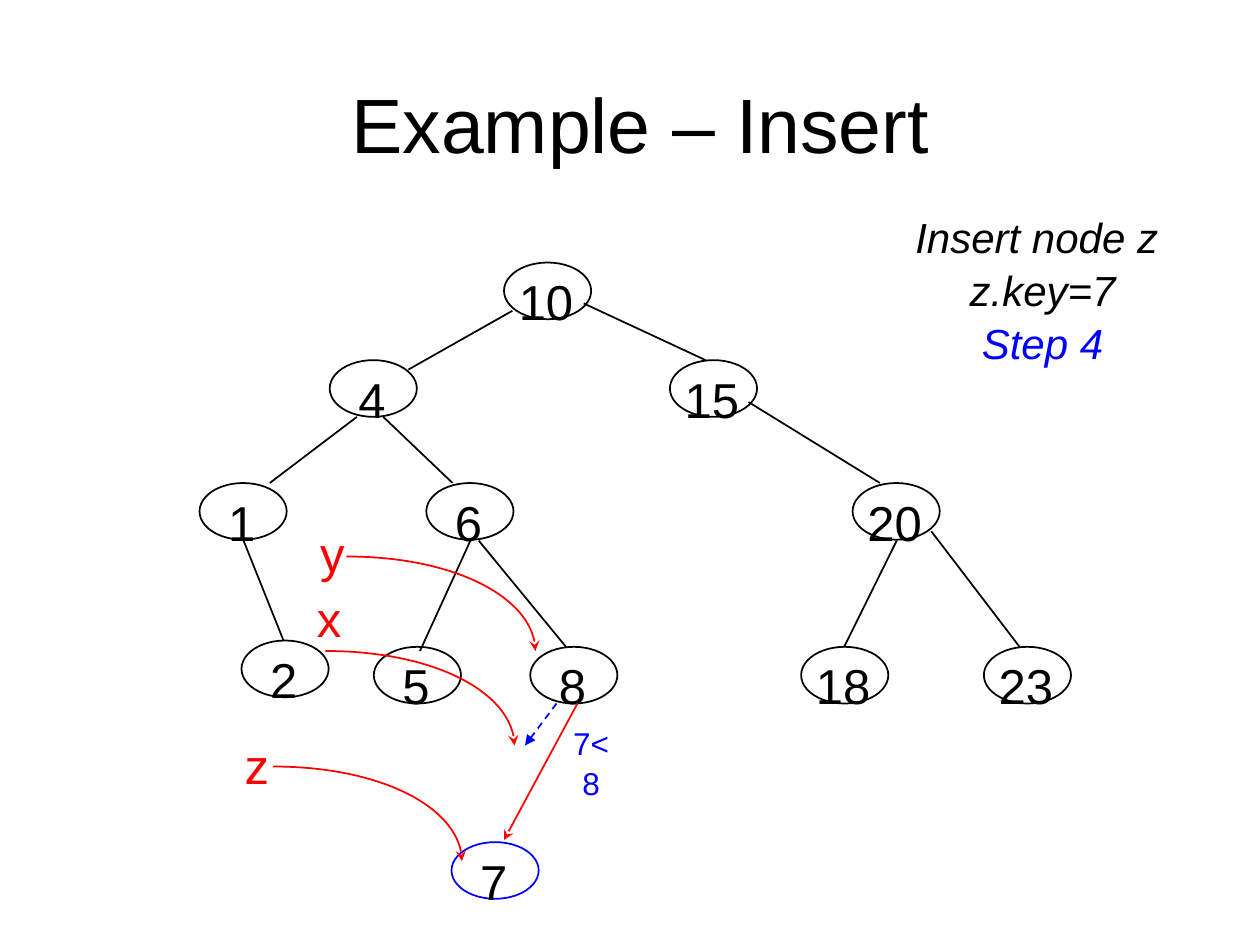
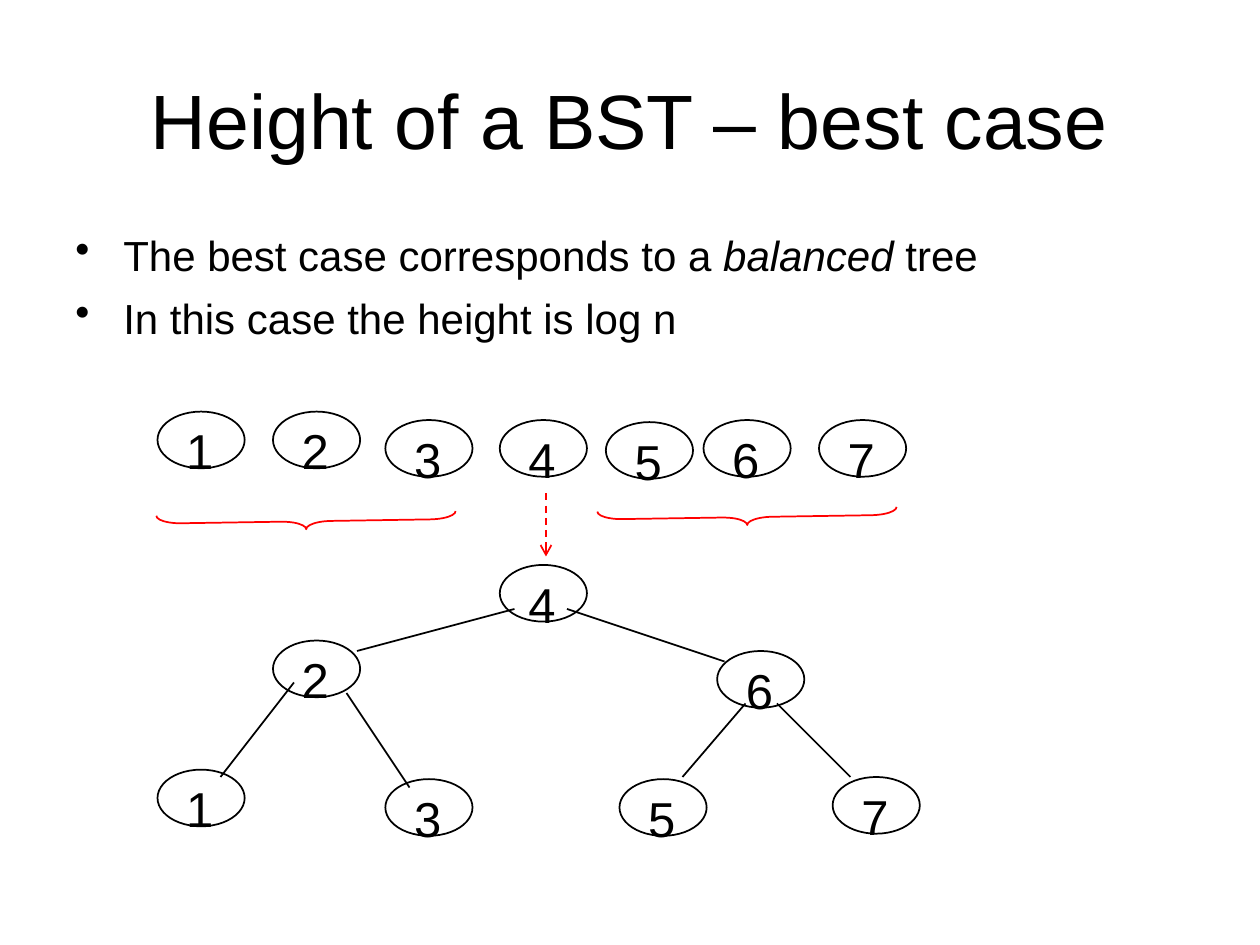
from dataclasses import dataclass

from lxml import etree
from pptx import Presentation
from pptx.dml.color import RGBColor
from pptx.enum.dml import MSO_LINE
from pptx.enum.shapes import MSO_CONNECTOR, MSO_SHAPE
from pptx.enum.text import MSO_ANCHOR, MSO_AUTO_SIZE, PP_ALIGN
from pptx.oxml.ns import qn
from pptx.util import Inches, Pt

COLORS = {"ink": "000000", "pointer": "FF0000", "step": "0000FF"}
FONT = "Arial"
TITLE_FORMAT = {"size": Pt(44)}
BODY_FORMAT = {"size": Pt(24)}
NOTE_FORMAT = {"size": Pt(24), "italic": True}
KEY_FORMAT = {"size": Pt(28)}
COMPARISON_FORMAT = {"size": Pt(18)}

# The slide is a grid of 120 columns and 90 rows of square cells.
COLUMNS, ROWS = 120, 90
CELL = Inches(10) // COLUMNS
NODE_WIDTH, NODE_HEIGHT = 8.3, 5.4
KEY_HEIGHT = 6.8
KEY_CENTER = 4
KEY_WIDTHS = {1: 4.9, 2: 7.6}
POINTER_WIDTH, POINTER_HEIGHT = 18, 9
ROUNDNESS = 0.55


@dataclass(frozen=True)
class Box:
    column: float
    row: float
    columns: float
    rows: float

    def lengths(self) -> list:
        return [cells(v) for v in (self.column, self.row, self.columns, self.rows)]


@dataclass(frozen=True)
class Node:
    key: str
    column: float
    row: float
    color: str = "ink"


@dataclass(frozen=True)
class Edge:
    start: tuple
    end: tuple
    color: str = "ink"
    head: str = ""
    dashed: bool = False


@dataclass(frozen=True)
class Run:
    text: str
    color: str = "ink"
    italic: bool = False


@dataclass(frozen=True)
class Pointer:
    """A curved arrow with its variable name."""
    name: str
    name_at: tuple
    start: tuple


INSERT_NODES = [
    Node("10", 48, 25),
    Node("4", 31.4, 34.3), Node("15", 63.8, 34.3),
    Node("1", 19, 46), Node("6", 40.6, 46), Node("20", 81.2, 46),
    Node("2", 23, 61), Node("5", 35.6, 61.6), Node("8", 50.5, 61.6),
    Node("18", 76.3, 61.6), Node("23", 93.7, 61.6),
    Node("7", 43, 80.2, "step"),
]
INSERT_EDGES = [
    Edge((48.8, 29.6), (38.9, 35.2)), Edge((55.6, 28.9), (67.2, 34.3)),
    Edge((34, 39.7), (25.7, 46)), Edge((36.5, 39.7), (43.1, 46)),
    Edge((71.3, 38.3), (83.8, 46)), Edge((23, 51), (27, 61)),
    Edge((44.8, 51.5), (40, 62)), Edge((45.6, 51.5), (53.9, 61.6)),
    Edge((85.4, 51.5), (80.4, 61.6)), Edge((88.7, 50.6), (97.1, 61.6)),
    Edge((53, 67), (50, 71), "step", "triangle", True),
    Edge((55, 67), (48, 80), "pointer", "stealth"),
]
POINTERS = [
    Pointer("y", (29.3, 49), (33, 53)),
    Pointer("x", (29, 55.2), (31, 62)),
    Pointer("z", (22.1, 69.2), (26, 73)),
]
SORTED_NODES = [
    Node("1", 15, 39.2), Node("2", 26, 39.2), Node("3", 36.7, 40),
    Node("4", 47.6, 40), Node("5", 57.7, 40.2), Node("6", 67, 40),
    Node("7", 78, 40),
]
BALANCED_NODES = [
    Node("4", 47.6, 53.8),
    Node("2", 26, 61), Node("6", 68.3, 62),
    Node("1", 15, 73.3), Node("3", 36.7, 74.2),
    Node("5", 59, 74.2), Node("7", 79.3, 74),
]
BALANCED_EDGES = [
    Edge((49, 58), (34, 62)), Edge((54, 58), (69, 63)),
    Edge((28, 65), (21, 74)), Edge((33, 66), (39, 75)),
    Edge((71, 67), (65, 74)), Edge((74, 67), (81, 74)),
    Edge((52, 47), (52, 53), "pointer", "arrow", True),
]
HALF_BRACES = [Box(28.4, 35.4, 1.5, 28.5), Box(70.4, 35, 1.5, 28.5)]


def cells(count: float) -> int:
    return round(count * CELL)


def rgb(name: str) -> RGBColor:
    return RGBColor.from_string(COLORS[name])


def add_text(slide, box: Box, paragraphs: list, text_format: dict,
             alignment=PP_ALIGN.CENTER, wrap: bool = False,
             anchor=MSO_ANCHOR.TOP):
    """Add a text box; each paragraph is a list of runs."""
    shape = slide.shapes.add_textbox(*box.lengths())
    frame_format = {
        "word_wrap": wrap,
        "vertical_anchor": anchor,
        "auto_size": MSO_AUTO_SIZE.NONE if wrap else MSO_AUTO_SIZE.SHAPE_TO_FIT_TEXT,
    }
    for name, value in frame_format.items():
        setattr(shape.text_frame, name, value)
    for index, runs in enumerate(paragraphs):
        frame = shape.text_frame
        paragraph = frame.add_paragraph() if index else frame.paragraphs[0]
        paragraph.alignment = alignment
        paragraph.line_spacing = 1.05
        for item in runs:
            run = paragraph.add_run()
            run.text = item.text
            font_format = {"name": FONT, "italic": item.italic} | text_format
            for name, value in font_format.items():
                setattr(run.font, name, value)
            run.font.color.rgb = rgb(item.color)
    return shape


def add_title(slide, text: str, column: float, row: float) -> None:
    add_text(slide, Box(column, row, 108, 15), [[Run(text)]], TITLE_FORMAT,
             wrap=True, anchor=MSO_ANCHOR.MIDDLE)


def add_bullets(slide, box: Box, paragraphs: list) -> None:
    shape = add_text(slide, box, paragraphs, BODY_FORMAT, PP_ALIGN.LEFT, wrap=True)
    indent = Inches(0.38)
    for index, paragraph in enumerate(shape.text_frame.paragraphs):
        if index:
            paragraph.space_before = Pt(6)
        properties = paragraph._p.get_or_add_pPr()
        properties.set("marL", str(indent))
        properties.set("indent", str(-indent))
        etree.SubElement(properties, qn("a:buChar"), char="•")


def style_line(shape, color: str, head: str = "", dashed: bool = False) -> None:
    line = shape.line
    line.color.rgb = rgb(color)
    line.width = Pt(1)
    if dashed:
        line.dash_style = MSO_LINE.DASH
    if head:
        etree.SubElement(line._get_or_add_ln(), qn("a:tailEnd"), type=head)


def style_outline(shape, color: str, head: str = "") -> None:
    shape.shadow.inherit = False
    shape.fill.background()
    style_line(shape, color, head)


def add_node(slide, node: Node) -> None:
    box = Box(node.column, node.row, NODE_WIDTH, NODE_HEIGHT)
    ellipse = slide.shapes.add_shape(MSO_SHAPE.OVAL, *box.lengths())
    style_outline(ellipse, node.color)
    width = KEY_WIDTHS[len(node.key)]
    key_box = Box(node.column + KEY_CENTER - width / 2, node.row, width, KEY_HEIGHT)
    add_text(slide, key_box, [[Run(node.key)]], KEY_FORMAT)


def add_edge(slide, edge: Edge) -> None:
    ends = [cells(value) for value in (*edge.start, *edge.end)]
    connector = slide.shapes.add_connector(MSO_CONNECTOR.STRAIGHT, *ends)
    style_line(connector, edge.color, edge.head, edge.dashed)
    etree.SubElement(connector._element.spPr, qn("a:effectLst"))


def add_pointer(slide, pointer: Pointer) -> None:
    add_text(slide, Box(*pointer.name_at, 4.7, KEY_HEIGHT),
             [[Run(pointer.name, "pointer")]], KEY_FORMAT)
    column, row = pointer.start
    width, height = cells(POINTER_WIDTH), cells(POINTER_HEIGHT)
    builder = slide.shapes.build_freeform(cells(column), cells(row))
    builder.add_line_segments([(cells(column) + width, cells(row) + height)], close=False)
    curve = builder.convert_to_shape()
    segment = next(curve._element.iter(qn("a:lnTo")))
    bend = etree.Element(qn("a:cubicBezTo"))
    controls = [(width * ROUNDNESS, 0), (width, height * (1 - ROUNDNESS)), (width, height)]
    for x, y in controls:
        etree.SubElement(bend, qn("a:pt"), x=str(round(x)), y=str(round(y)))
    segment.getparent().replace(segment, bend)
    style_outline(curve, "pointer", "stealth")


def add_brace(slide, box: Box) -> None:
    brace = slide.shapes.add_shape(MSO_SHAPE.LEFT_BRACE, *box.lengths())
    brace.rotation = 269.1
    brace.adjustments[0] = 1.6
    style_outline(brace, "pointer")


def add_tree(slide, nodes: list, edges: list) -> None:
    for node in nodes:
        add_node(slide, node)
    for edge in edges:
        add_edge(slide, edge)


def build_insert_slide(slide) -> None:
    add_title(slide, "Example – Insert", 7, 4)
    add_tree(slide, INSERT_NODES, INSERT_EDGES)
    add_text(slide, Box(86, 19.3, 26.6, 15.6),
             [[Run("Insert node z ")], [Run("z.key=7")], [Run("Step 4", "step")]],
             NOTE_FORMAT | {"italic": True})
    for pointer in POINTERS:
        add_pointer(slide, pointer)
    add_text(slide, Box(52.6, 68.2, 7.4, 4.8), [[Run("7<8", "step")]], COMPARISON_FORMAT)


def build_best_case_slide(slide) -> None:
    add_title(slide, "Height of a BST – best case", 6, 3.6)
    add_bullets(slide, Box(6, 21, 111, 15), [
        [Run("The best case corresponds to a"), Run(" balanced ", italic=True), Run("tree")],
        [Run("In this case the height is log n")],
    ])
    add_tree(slide, SORTED_NODES, [])
    for box in HALF_BRACES:
        add_brace(slide, box)
    add_tree(slide, BALANCED_NODES, BALANCED_EDGES)


def main() -> None:
    presentation = Presentation()
    presentation.slide_width = cells(COLUMNS)
    presentation.slide_height = cells(ROWS)
    blank = presentation.slide_layouts[6]
    for build in (build_insert_slide, build_best_case_slide):
        build(presentation.slides.add_slide(blank))
    presentation.save("out.pptx")


if __name__ == "__main__":
    main()
